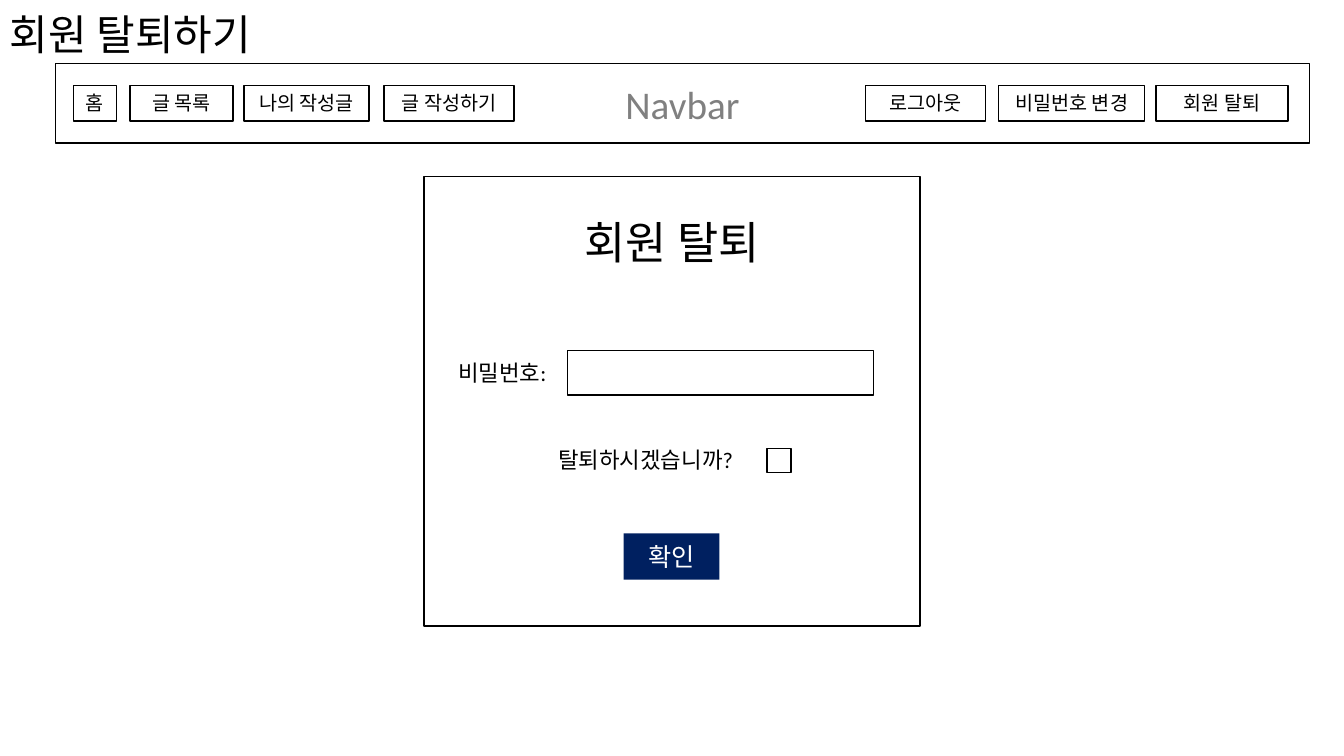
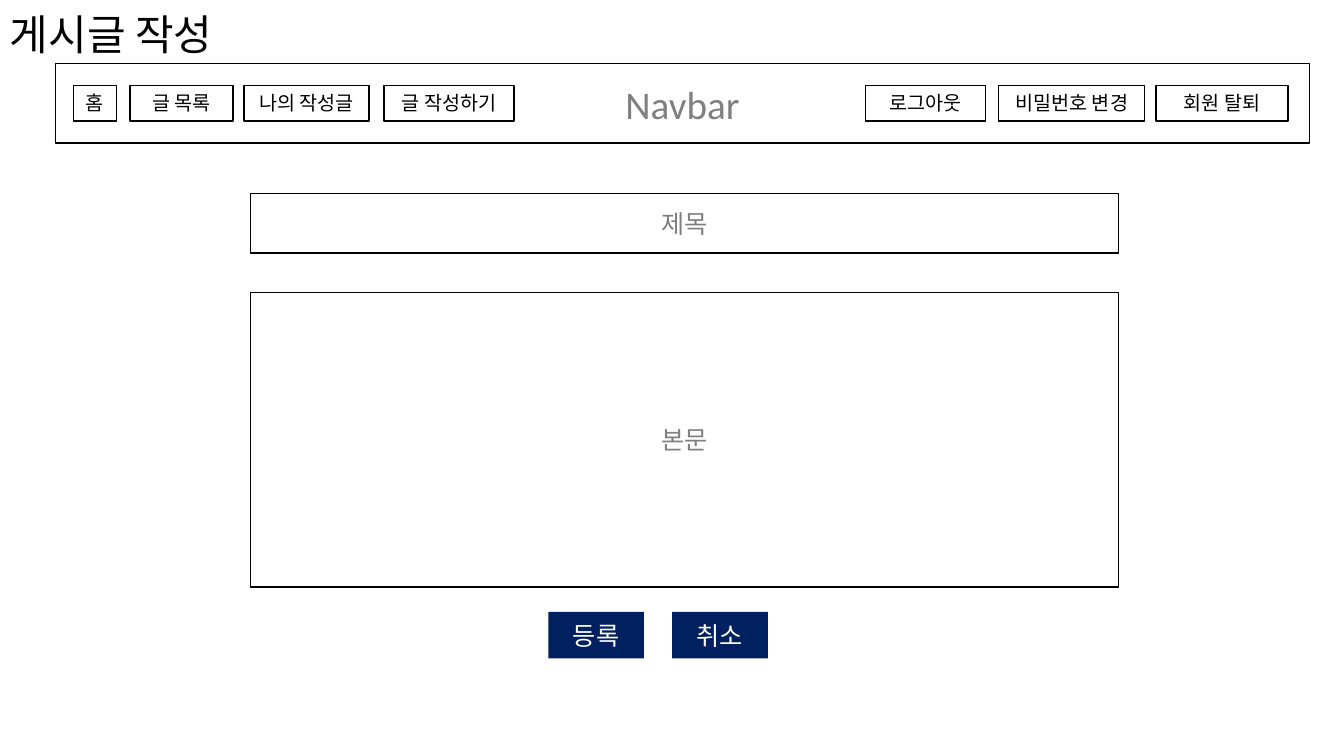
from pptx import Presentation
from pptx.dml.color import RGBColor
from pptx.enum import shapes, text
from pptx.util import Cm, Pt

BLACK = RGBColor(0x00, 0x00, 0x00)
WHITE = RGBColor(0xFF, 0xFF, 0xFF)
GRAY = RGBColor(0x80, 0x80, 0x80)
NAVY = RGBColor(0x00, 0x20, 0x60)
FONT = "Calibri"
MID = text.MSO_ANCHOR.MIDDLE
TOP = text.MSO_ANCHOR.TOP
LEFT = text.PP_ALIGN.LEFT
CENTER = text.PP_ALIGN.CENTER


def write(shape, words, size, color, align=CENTER, anchor=MID):
    frame = shape.text_frame
    frame.word_wrap = True
    frame.vertical_anchor = anchor
    para = frame.paragraphs[0]
    para.alignment = align
    run = para.add_run()
    run.text = words
    run.font.name = FONT
    run.font.size = Pt(size)
    run.font.color.rgb = color
    return para


def box(slide, x, y, w, h, words="", size=18, color=BLACK, fill=WHITE):
    rect = slide.shapes.add_shape(
        shapes.MSO_SHAPE.RECTANGLE, Cm(x), Cm(y), Cm(w), Cm(h))
    rect.shadow.inherit = False
    rect.fill.solid()
    rect.fill.fore_color.rgb = fill
    if fill == WHITE:
        rect.line.color.rgb = BLACK
        rect.line.width = Pt(1)
    else:
        rect.line.fill.background()
    if words:
        write(rect, words, size, color)


deck = Presentation()
deck.slide_width, deck.slide_height = Cm(33.87), Cm(19.05)

# Navbar buttons: label, left, width
MENU = [
    ("홈", 1.85, 1.09),
    ("글 목록", 3.28, 2.59),
    ("나의 작성글", 6.15, 3.15),
    ("글 작성하기", 9.68, 3.28),
    ("로그아웃", 21.82, 3.02),
    ("비밀번호 변경", 25.17, 3.68),
    ("회원 탈퇴", 29.13, 3.33),
]

# Title and navbar on every slide
pages = []
for name in ("회원 탈퇴하기", "게시글 작성"):
    page = deck.slides.add_slide(deck.slide_layouts[6])
    title = page.shapes.add_textbox(0, 0, Cm(17.25), Cm(1.88))
    write(title, name, 30, BLACK, LEFT).line_spacing = 0.9
    box(page, 1.4, 1.6, 31.6, 2.01, "Navbar", 28, GRAY)
    for label, x, w in MENU:
        box(page, x, 2.15, w, 0.9, label, 14)
    pages.append(page)
leave, post = pages

# Withdrawal form: panel, texts, inputs
box(leave, 10.69, 4.45, 12.5, 11.33)
for words, x, y, w, h, size, align in [
    ("회원 탈퇴", 10.69, 5.28, 12.5, 1.63, 32, CENTER),
    ("비밀번호:", 11.3, 8.92, 11.02, 0.94, 16, LEFT),
    ("탈퇴하시겠습니까?", 13.82, 11.13, 11.02, 0.94, 16, LEFT),
]:
    label = leave.shapes.add_textbox(Cm(x), Cm(y), Cm(w), Cm(h))
    write(label, words, size, BLACK, align, TOP)
box(leave, 14.3, 8.84, 7.72, 1.12)
box(leave, 19.33, 11.3, 0.61, 0.61)

# Post form: title and body fields
for words, y, h in [("제목", 4.88, 1.5), ("본문", 7.37, 7.42)]:
    box(post, 6.32, y, 21.87, h, words, 18, GRAY)

# Action buttons
for page, words, x, y in [
    (leave, "확인", 15.72, 13.44),
    (post, "등록", 13.82, 15.42),
    (post, "취소", 16.94, 15.42),
]:
    box(page, x, y, 2.41, 1.17, words, 18, WHITE, NAVY)

deck.save("out.pptx")
